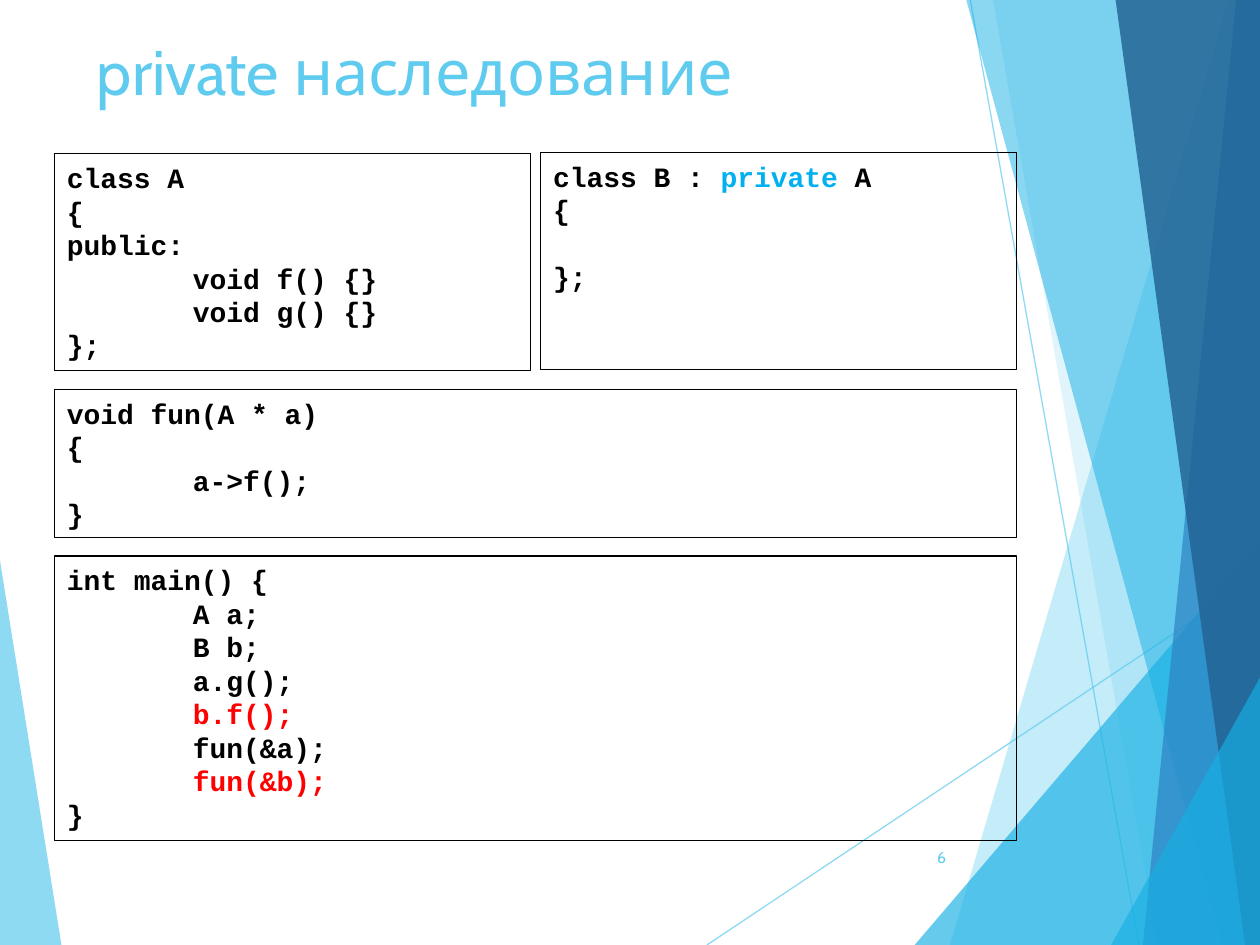
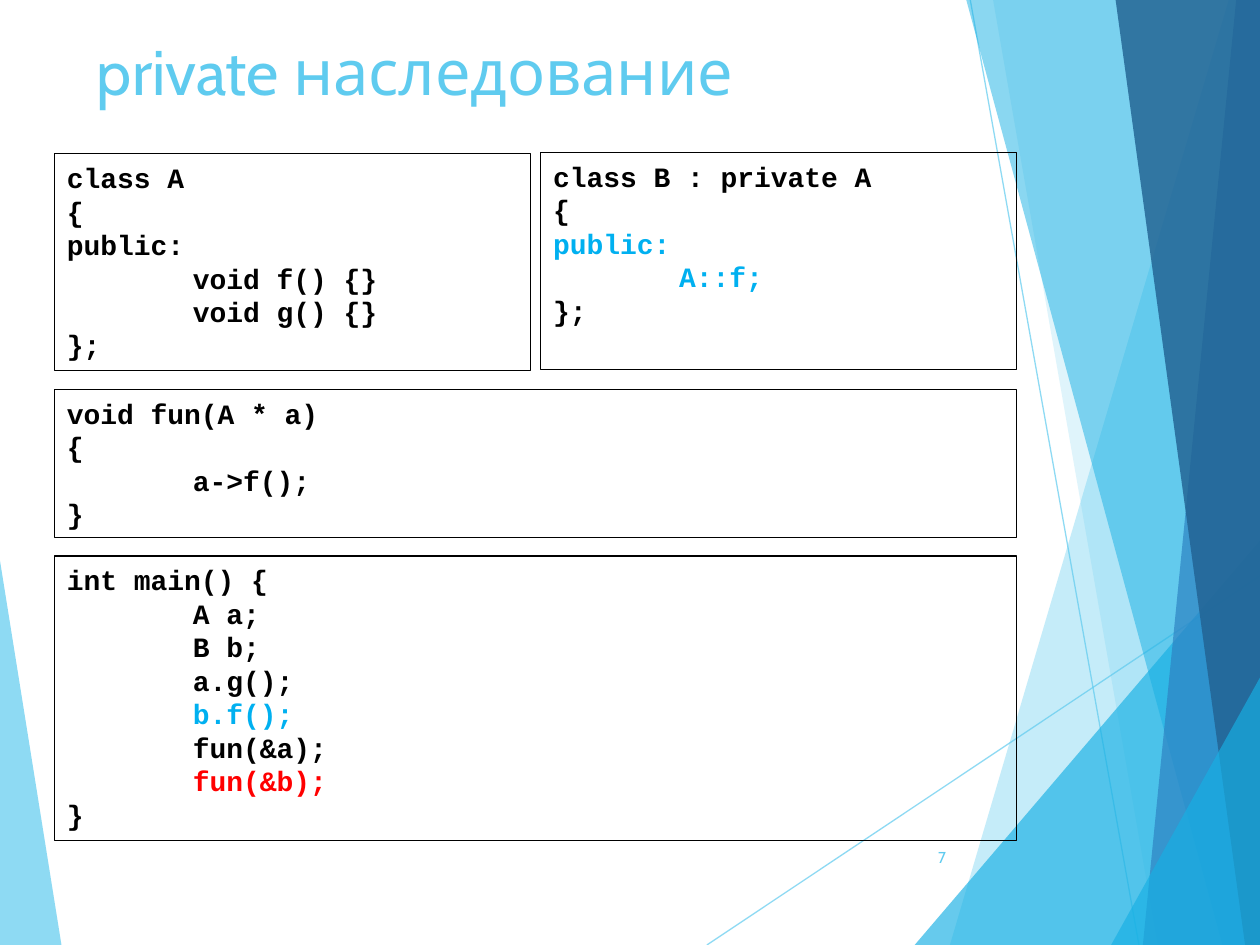
"""Build two slides on private inheritance in C++."""
from lxml import etree
from pptx import Presentation
from pptx.dml.color import RGBColor
from pptx.enum.shapes import MSO_CONNECTOR, MSO_SHAPE
from pptx.enum.text import MSO_ANCHOR, PP_ALIGN
from pptx.oxml.ns import qn
from pptx.util import Cm, Pt

STRAIGHT = MSO_CONNECTOR.STRAIGHT
RECTANGLE = MSO_SHAPE.RECTANGLE
TOP, MIDDLE = MSO_ANCHOR.TOP, MSO_ANCHOR.MIDDLE
LEFT, RIGHT = PP_ALIGN.LEFT, PP_ALIGN.RIGHT

WIDTH, HEIGHT = 25.4, 19.05
SKY, CYAN, BLUE, NAVY = "5FCBEF", "17B0E4", "2E83C3", "226292"
BLACK, RED, ACCENT = "000000", "FF0000", "00B0F0"
TITLE_FONT, CODE_FONT = "Cabin", "Courier New"
CODE_LINE = Pt(19.15)
CODE_TAB = Cm(2.54)

LINES = [(14.25, HEIGHT, WIDTH, 11.61), (19.56, 0, 22.96, HEIGHT)]
BOTTOM_RIGHT, TOP_RIGHT = (WIDTH, HEIGHT), (WIDTH, 0)
FACETS = [
    (SKY, 70, [(0, 11.3), (1.24, HEIGHT), (0, HEIGHT)]),
    (SKY, 36, [(24.77, 0), (19.15, HEIGHT), BOTTOM_RIGHT, TOP_RIGHT]),
    (SKY, 20, [(20.02, 0), (23.34, HEIGHT), BOTTOM_RIGHT, TOP_RIGHT]),
    (CYAN, 66, [(18.44, HEIGHT), (WIDTH, 10.9), BOTTOM_RIGHT]),
    (CYAN, 50, [(19.48, 0), (24.64, HEIGHT), BOTTOM_RIGHT, TOP_RIGHT]),
    (BLUE, 70, [(24.92, 0), (23.04, HEIGHT), BOTTOM_RIGHT, TOP_RIGHT]),
    (NAVY, 82, [(22.49, 0), (25.1, HEIGHT), BOTTOM_RIGHT, TOP_RIGHT]),
    (CYAN, 66, [(22.4, HEIGHT), (WIDTH, 13.66), BOTTOM_RIGHT]),
]

CLASS_A = ["class A", "{", "public:", "\tvoid f() {}", "\tvoid g() {}", "};"]
FUN = ["void fun(A * a)", "{", "\ta->f();", "}"]
MAIN = ["int main() {", "\tA a;", "\tB b;", "\ta.g();", "\tb.f();",
        "\tfun(&a);", "\tfun(&b);", "}"]
SLIDES = [
    (6, ["class B : private A", "{", "", "};"], {"private": ACCENT},
     {"b.f();": RED, "fun(&b);": RED}),
    (7, ["class B : private A", "{", "public:", "\tA::f;", "};"],
     {"public:": ACCENT, "\tA::f;": ACCENT},
     {"b.f();": ACCENT, "fun(&b);": RED}),
]


def paint(fill, color):
    fill.solid()
    fill.fore_color.rgb = RGBColor.from_string(color)


def set_opacity(shape, percent):
    for color in shape._element.spPr.iter(qn("a:srgbClr")):
        etree.SubElement(color, qn("a:alpha"), val=str(percent * 1000))


presentation = Presentation()
presentation.slide_width, presentation.slide_height = Cm(WIDTH), Cm(HEIGHT)

for number, class_b, class_b_marks, main_marks in SLIDES:
    slide = presentation.slides.add_slide(presentation.slide_layouts[5])

    for ends in LINES:
        connector = slide.shapes.add_connector(STRAIGHT, *map(Cm, ends))
        paint(connector.line.fill, SKY)
        connector.line.width = Pt(0.75)
        set_opacity(connector, 70)
        etree.SubElement(connector._element.spPr, qn("a:effectLst"))

    for color, opacity, corners in FACETS:
        points = [(Cm(x), Cm(y)) for x, y in corners]
        builder = slide.shapes.build_freeform(*points[0])
        builder.add_line_segments(points[1:], close=True)
        facet = builder.convert_to_shape()
        paint(facet.fill, color)
        facet.line.fill.background()
        facet.shadow.inherit = False
        set_opacity(facet, opacity)

    title = slide.shapes.title
    title.left, title.top = Cm(1.7), Cm(0.53)
    title.width, title.height = Cm(17.63), Cm(3.66)
    title.text_frame.text = "private наследование"
    title.text_frame.vertical_anchor = TOP

    number_box = slide.shapes.add_textbox(Cm(17.9), Cm(16.78), Cm(1.42), Cm(1.02))
    number_box.text_frame.word_wrap = True
    number_box.text_frame.vertical_anchor = MIDDLE
    number_box.text_frame.text = str(number)

    for label, size, alignment in [(title, 36, LEFT), (number_box, 9, RIGHT)]:
        paragraph = label.text_frame.paragraphs[0]
        paragraph.alignment = alignment
        paragraph.font.name = TITLE_FONT
        paragraph.font.size = Pt(size)
        paint(paragraph.font.fill, SKY)

    for left, top, width, height, code, marks in [
        (1.1, 3.1, 9.6, 4.37, CLASS_A, {}),
        (10.9, 3.07, 9.6, 4.38, class_b, class_b_marks),
        (1.1, 7.85, 19.4, 2.99, FUN, {}),
        (1.1, 11.21, 19.4, 5.73, MAIN, main_marks),
    ]:
        code_box = slide.shapes.add_shape(
            RECTANGLE, Cm(left), Cm(top), Cm(width), Cm(height))
        code_box.fill.background()
        paint(code_box.line.fill, BLACK)
        code_box.line.width = Pt(0.75)
        code_box.shadow.inherit = False
        frame = code_box.text_frame
        frame.word_wrap = True
        frame.vertical_anchor = TOP
        frame.margin_top = Cm(0.14)

        paragraph = frame.paragraphs[0]
        for index, line in enumerate(code):
            if not line:
                continue
            if index:
                paragraph = frame.add_paragraph()
            if line.startswith("\t"):
                properties = paragraph._p.get_or_add_pPr()
                tabs = etree.SubElement(properties, qn("a:tabLst"))
                etree.SubElement(tabs, qn("a:tab"), pos=str(CODE_TAB), algn="l")
            if index and not code[index - 1]:
                paragraph.space_before = CODE_LINE
            paragraph.alignment = LEFT
            paragraph.line_spacing = CODE_LINE
            paragraph.font.name = CODE_FONT
            paragraph.font.size = Pt(16)
            paragraph.font.bold = True
            paint(paragraph.font.fill, BLACK)
            mark = next((word for word in marks if word in line), line)
            for part in line.partition(mark):
                if part:
                    run = paragraph.add_run()
                    run.text = part
                    if part in marks:
                        paint(run.font.fill, marks[part])

presentation.save("out.pptx")
